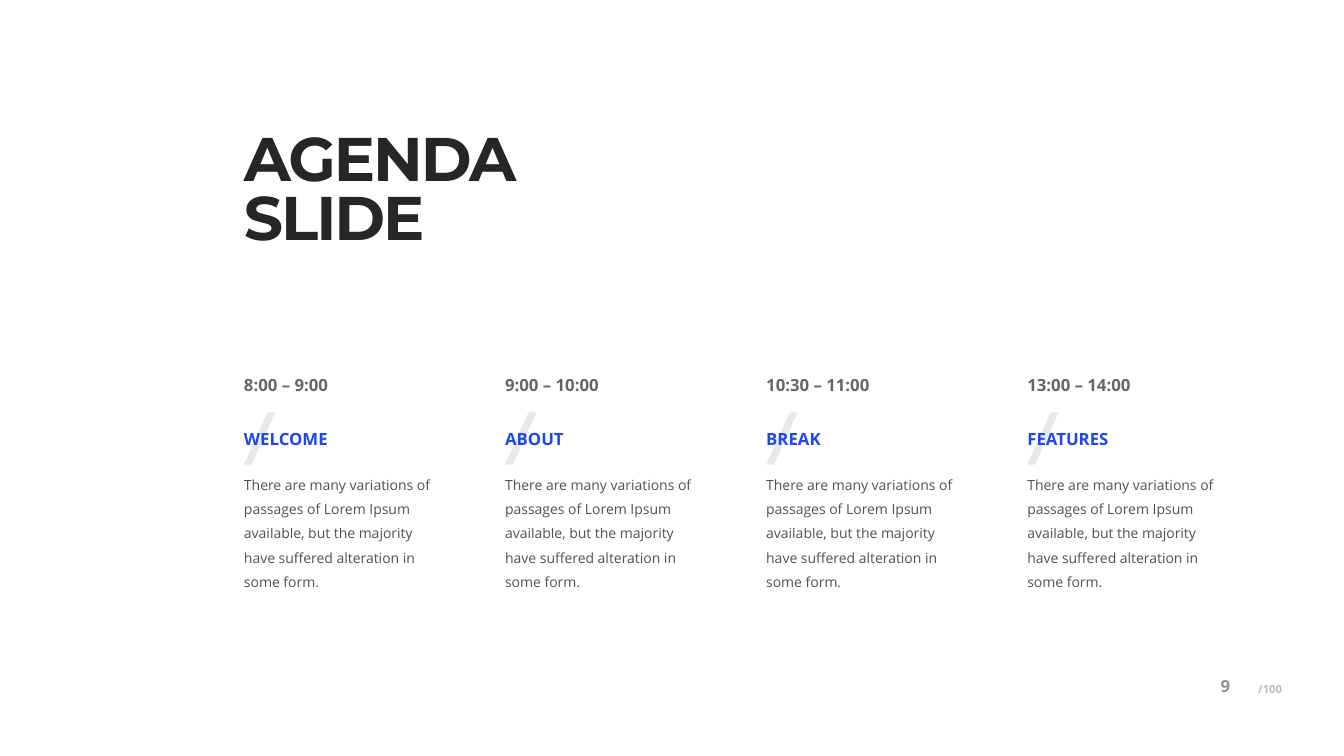
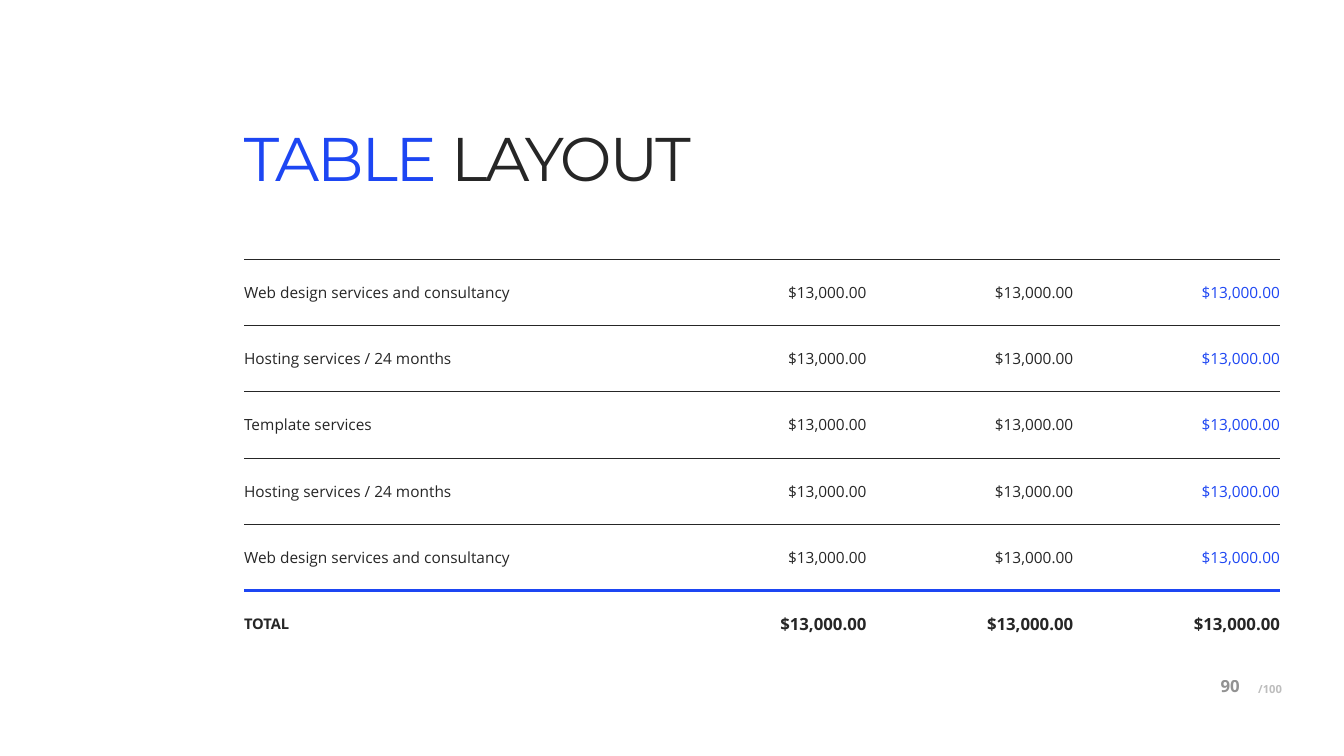
from lxml import etree
from pptx import Presentation
from pptx.dml.color import RGBColor
from pptx.enum import shapes, text
from pptx.oxml.ns import qn
from pptx.util import Cm, Pt

INK = RGBColor(0x26, 0x26, 0x26)
BLUE = RGBColor(0x1D, 0x46, 0xF3)
HEADING_FONT = "Montserrat"
BODY_FONT = "Open Sans"
PLAIN_TABLE_STYLE = "{2D5ABB26-0587-4C30-8999-92F81FD0307C}"

LEFT = 6.15
AGENDA_STEP = 6.58
AGENDA_WIDTH = 4.88
TABLE_TOP = 6.53
ROW_HEIGHT = 1.67
COLUMN_WIDTHS = (10.46, 5.23, 5.21, 5.21)

AGENDA = (
    ("8:00 – 9:00", "WELCOME"),
    ("9:00 – 10:00", "ABOUT"),
    ("10:30 – 11:00", "BREAK"),
    ("13:00 – 14:00", "FEATURES"),
)
AGENDA_TEXT = (
    "There are many variations of passages of Lorem Ipsum available, "
    "but the majority have suffered alteration in some form."
)
SERVICES = (
    "Web design services and consultancy",
    "Hosting services / 24 months",
    "Template services",
    "Hosting services / 24 months",
    "Web design services and consultancy",
)
PRICE = "$13,000.00"


def fade(element, opacity):
    """Give every colour inside the element an opacity in percent."""
    for colour in element.iter(qn("a:srgbClr")):
        etree.SubElement(colour, qn("a:alpha")).set("val", str(opacity * 1000))


def style_run(run, size, colour=INK, bold=False, font=BODY_FONT, opacity=100):
    run.font.name = font
    run.font.size = Pt(size)
    run.font.bold = bold
    run.font.color.rgb = colour
    if opacity < 100:
        fade(run._r, opacity)


def add_box(parent, left, top, width, height, inset_top=0.0, inset_bottom=0.0):
    """Add a wrapping text box without side insets and return its text frame."""
    box = parent.shapes.add_textbox(Cm(left), Cm(top), Cm(width), Cm(height))
    frame = box.text_frame
    frame.word_wrap = True
    frame.margin_left = frame.margin_right = 0
    frame.margin_top, frame.margin_bottom = Cm(inset_top), Cm(inset_bottom)
    return frame


def add_title(slide, parts, bold=False):
    """Add the title from (text, colour) parts; a vertical tab breaks the line."""
    frame = add_box(slide, LEFT, 2.84, 15.98, 4.14, inset_top=0.53)
    paragraph = frame.paragraphs[0]
    paragraph.line_spacing = 0.8
    for words, colour in parts:
        lines = words.split("\v")
        for index, line in enumerate(lines):
            if index:
                paragraph.add_line_break()
            run = paragraph.add_run()
            run.text = line
            style_run(run, 44, colour, bold, HEADING_FONT)
            run.font._element.set("spc", "-150")


def add_page_number(slide, number):
    for left, top, words, size, opacity, align in (
        (30.89, 17.04, "/100", 8, 30, text.PP_ALIGN.RIGHT),
        (30.76, 16.97, str(number), 12, 50, text.PP_ALIGN.LEFT),
    ):
        frame = add_box(slide, left, top, 1.42, 0.64)
        frame.vertical_anchor = text.MSO_ANCHOR.MIDDLE
        frame.text = words
        frame.paragraphs[0].alignment = align
        style_run(frame.paragraphs[0].runs[0], size, bold=True, opacity=opacity)


def add_label(parent, left, top, height, words, size, **style):
    frame = add_box(parent, left, top, AGENDA_WIDTH, height, 0.13, 0.13)
    frame.text = words
    paragraph = frame.paragraphs[0]
    style_run(paragraph.runs[0], size, **style)
    return paragraph


def add_agenda_item(slide, left, hours, topic):
    item = slide.shapes.add_group_shape()
    slash = item.shapes.add_shape(
        shapes.MSO_SHAPE.PARALLELOGRAM, Cm(left), Cm(10.39), Cm(0.79), Cm(1.32)
    )
    slash.adjustments[0] = 0.75
    slash.shadow.inherit = False
    slash.fill.solid()
    slash.fill.fore_color.rgb = INK
    fade(slash._element.spPr, 10)
    slash.line.fill.background()
    add_label(item, left, 10.67, 0.76, topic, 12, colour=BLUE, bold=True)
    summary = add_label(item, left, 11.68, 3.3, AGENDA_TEXT, 10, opacity=80)
    summary.line_spacing = 1.45
    add_label(item, left, 9.32, 0.76, hours, 12, bold=True, opacity=70)


def add_border(cell, side, colour, width):
    line = etree.SubElement(cell._tc.get_or_add_tcPr(), qn(f"a:ln{side}"))
    line.set("w", str(Pt(width)))
    fill = etree.SubElement(line, qn("a:solidFill"))
    etree.SubElement(fill, qn("a:srgbClr")).set("val", str(colour))


def fill_cell(cell, words, is_price, size, colour, bold):
    cell.fill.background()
    cell.vertical_anchor = text.MSO_ANCHOR.MIDDLE
    if is_price:
        cell.margin_right = 0
    else:
        cell.margin_left = 0
    cell.text = words
    paragraph = cell.text_frame.paragraphs[0]
    paragraph.alignment = text.PP_ALIGN.RIGHT if is_price else text.PP_ALIGN.LEFT
    style_run(paragraph.runs[0], size, colour, bold)


def add_price_table(slide):
    names = SERVICES + ("TOTAL",)
    total_row = len(SERVICES)
    last_column = len(COLUMN_WIDTHS) - 1
    table = slide.shapes.add_table(
        len(names), len(COLUMN_WIDTHS), Cm(LEFT), Cm(TABLE_TOP),
        Cm(sum(COLUMN_WIDTHS)), Cm(ROW_HEIGHT * len(names)),
    ).table
    table.first_row = table.horz_banding = False
    table._tbl.tblPr.find(qn("a:tableStyleId")).text = PLAIN_TABLE_STYLE
    for column, width in zip(table.columns, COLUMN_WIDTHS):
        column.width = Cm(width)

    thin, thick = (INK, 0.5), (BLUE, 2.25)
    for row, name in enumerate(names):
        table.rows[row].height = Cm(ROW_HEIGHT)
        is_total = row == total_row
        for column in range(len(COLUMN_WIDTHS)):
            cell = table.cell(row, column)
            add_border(cell, "T", *(thick if is_total else thin))
            if not is_total:
                add_border(cell, "B", *(thick if row == total_row - 1 else thin))
            is_price = column > 0
            size = (12 if is_price else 10.5) if is_total else 11
            colour = BLUE if column == last_column and not is_total else INK
            fill_cell(cell, PRICE if is_price else name, is_price, size, colour, is_total)


def add_slide(deck, number, title, bold=False):
    slide = deck.slides.add_slide(deck.slide_layouts[6])
    add_page_number(slide, number)
    add_title(slide, title, bold)
    return slide


def main():
    deck = Presentation()
    deck.slide_width, deck.slide_height = Cm(33.87), Cm(19.05)

    agenda = add_slide(deck, 9, [("AGENDA\vSLIDE", INK)], bold=True)
    for index, (hours, topic) in enumerate(AGENDA):
        add_agenda_item(agenda, LEFT + index * AGENDA_STEP, hours, topic)

    prices = add_slide(deck, 90, [("TABLE", BLUE), (" LAYOUT", INK)])
    add_price_table(prices)

    deck.save("out.pptx")


if __name__ == "__main__":
    main()
